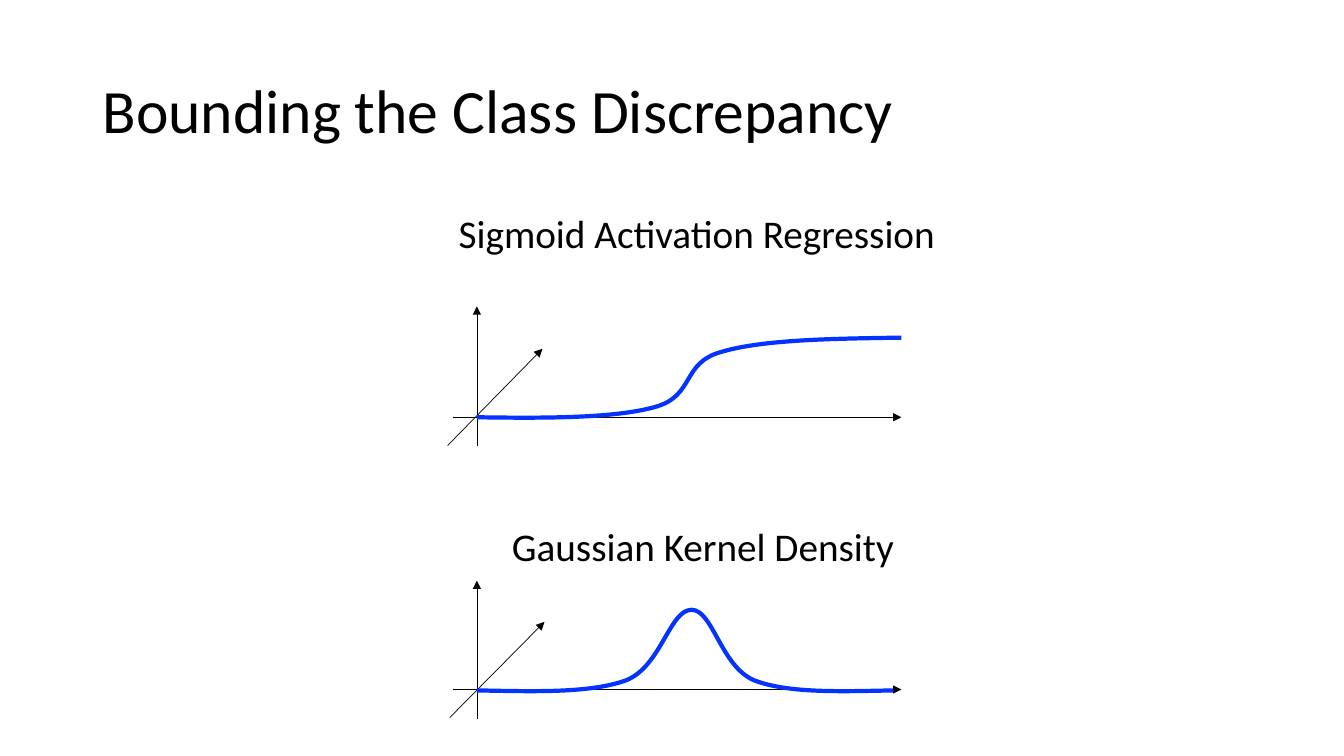
from lxml import etree
from pptx import Presentation
from pptx import util as u
from pptx.dml.color import RGBColor
from pptx.enum import shapes, text
from pptx.oxml.ns import qn

deck = Presentation()
deck.slide_width, deck.slide_height = u.Inches(13.33), u.Inches(7.5)
slide = deck.slides.add_slide(deck.slide_layouts[6])


def paint(color_format, hex_code):
    color_format.rgb = RGBColor.from_string(hex_code)


def bend(graph):
    segments = list(graph._element.iter(qn("a:lnTo")))
    for i in range(0, len(segments), 3):
        arc = etree.Element(qn("a:cubicBezTo"))
        segments[i].addprevious(arc)
        for segment in segments[i:i + 3]:
            arc.append(segment[0])
            segment.getparent().remove(segment)


fit, fixed = text.MSO_AUTO_SIZE.SHAPE_TO_FIT_TEXT, text.MSO_AUTO_SIZE.NONE
middle, top = text.MSO_ANCHOR.MIDDLE, text.MSO_ANCHOR.TOP
headings = [
    ("Bounding the Class Discrepancy", (0.92, 0.4, 11.5, 1.45), 44, 0.9,
     {"word_wrap": True, "auto_size": fixed, "vertical_anchor": middle}),
    ("Sigmoid Activation Regression", (4.45, 2.03, 4.98, 0.57), 28, 1.0,
     {"word_wrap": False, "auto_size": fit, "vertical_anchor": top}),
    ("Gaussian Kernel Density", (4.98, 5.13, 4.03, 0.57), 28, 1.0,
     {"word_wrap": False, "auto_size": fit, "vertical_anchor": top}),
]
for wording, place, size, spacing, frame_format in headings:
    heading = slide.shapes.add_textbox(*map(u.Inches, place)).text_frame
    for key, value in frame_format.items():
        setattr(heading, key, value)
    heading.paragraphs[0].line_spacing = spacing
    run = heading.paragraphs[0].add_run()
    run.text = wording
    for key, value in {"name": "Calibri", "size": u.Pt(size)}.items():
        setattr(run.font, key, value)
    paint(run.font.color, "000000")

axis_x, left, right = 4.73, 4.49, 8.94
sigmoid = [
    (axis_x, 4.14),
    (5.41, 4.15), (6.09, 4.15), (6.49, 4.04),
    (6.9, 3.93), (6.75, 3.6), (7.16, 3.49),
    (7.57, 3.37), (8.25, 3.36), (right, 3.35)]
gaussian = [
    (axis_x, 6.85),
    (5.29, 6.86), (5.85, 6.88), (6.21, 6.75),
    (6.56, 6.61), (6.64, 6.05), (6.86, 6.05),
    (7.07, 6.05), (7.15, 6.61), (7.48, 6.75),
    (7.82, 6.88), (8.34, 6.86), (8.86, 6.85)]

plots = [
    (4.14, (4.42, 3.04), (4.44, 4.42, 5.38, 3.46), sigmoid),
    (6.84, (7.13, 5.76), (4.46, 7.12, 5.4, 6.17), gaussian),
]
for baseline, (foot, tip), depth_axis, curve in plots:
    axes = [
        (axis_x, foot, axis_x, tip),
        (left, baseline, right, baseline),
        depth_axis,
    ]
    for ends in axes:
        axis = slide.shapes.add_connector(shapes.MSO_CONNECTOR.STRAIGHT, *map(u.Inches, ends))
        paint(axis.line.color, "000000")
        axis.line.width = u.Pt(0.5)
        properties = axis._element.spPr
        etree.SubElement(properties.find(qn("a:ln")), qn("a:tailEnd"), type="triangle")
        etree.SubElement(properties, qn("a:effectLst"))

    points = [(u.Inches(x), u.Inches(y)) for x, y in curve]
    outline = slide.shapes.build_freeform(*points[0])
    outline.add_line_segments(points[1:], close=False)
    graph = outline.convert_to_shape()
    bend(graph)
    graph.shadow.inherit = False
    graph.fill.background()
    paint(graph.line.color, "0432FF")
    graph.line.width = u.Pt(3)

deck.save("out.pptx")
